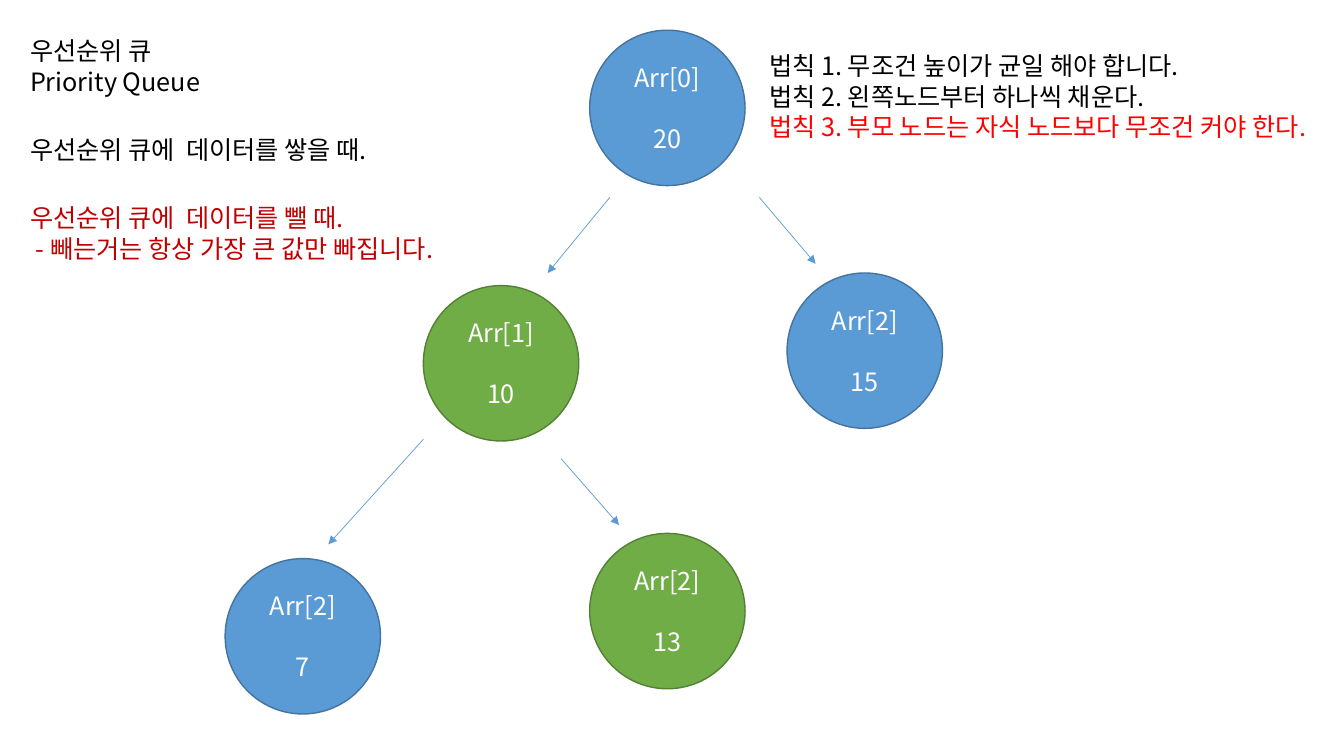
import pptx
import pptx.dml.color
import pptx.enum.shapes
import pptx.enum.text
import pptx.oxml
import pptx.oxml.ns
import pptx.util

COLUMNS, ROWS = 160, 90
NODE_SIZE = 18.5
BLACK, WHITE, RED, DARK_RED = "000000", "FFFFFF", "FF0000", "C00000"
BLUE, BLUE_EDGE = "5B9BD5", "43739E"
GREEN, GREEN_EDGE = "70AD47", "538035"


def colour(hex_code):
    return pptx.dml.color.RGBColor.from_string(hex_code)


def write(paragraph, text, *, color=BLACK, size=18, font="Noto Sans CJK KR",
          align=pptx.enum.text.PP_ALIGN.LEFT, leading=21.8, before=0):
    paragraph.alignment = align
    paragraph.line_spacing = pptx.util.Pt(leading)
    paragraph.space_before = pptx.util.Pt(before)
    run = paragraph.add_run()
    run.text = text
    run.font.size = pptx.util.Pt(size)
    run.font.name = font
    run.font.color.rgb = colour(color)
    east_asian = pptx.oxml.parse_xml(
        f'<a:ea {pptx.oxml.ns.nsdecls("a")} typeface="{font}"/>')
    run.font._element.append(east_asian)


class TreeSlide:
    def __init__(self, deck):
        self.width, self.height = deck.slide_width, deck.slide_height
        self.slide = deck.slides.add_slide(deck.slide_layouts[6])

    def x(self, columns):
        return round(self.width * columns / COLUMNS)

    def y(self, rows):
        return round(self.height * rows / ROWS)

    def box(self, left, top, width, height):
        return self.x(left), self.y(top), self.x(width), self.y(height)

    def note(self, left, top, width, height, lines):
        note = self.slide.shapes.add_textbox(*self.box(left, top, width, height))
        frame = note.text_frame
        frame.word_wrap = False
        frame.auto_size = pptx.enum.text.MSO_AUTO_SIZE.SHAPE_TO_FIT_TEXT
        for index, (text, color) in enumerate(lines):
            paragraph = frame.add_paragraph() if index else frame.paragraphs[0]
            write(paragraph, text, color=color)

    def node(self, left, top, label, value, fill, edge):
        circle = self.slide.shapes.add_shape(
            pptx.enum.shapes.MSO_SHAPE.OVAL,
            *self.box(left, top, NODE_SIZE, NODE_SIZE))
        circle.shadow.inherit = False
        circle.fill.solid()
        circle.fill.fore_color.rgb = colour(fill)
        circle.line.color.rgb = colour(edge)
        circle.line.width = pptx.util.Pt(1)
        frame = circle.text_frame
        frame.word_wrap = True
        frame.vertical_anchor = pptx.enum.text.MSO_ANCHOR.MIDDLE
        center = pptx.enum.text.PP_ALIGN.CENTER
        write(frame.paragraphs[0], label, color=WHITE, align=center)
        write(frame.add_paragraph(), value, color=WHITE, align=center, before=21.8)

    def arrow(self, x1, y1, x2, y2):
        branch = self.slide.shapes.add_connector(
            pptx.enum.shapes.MSO_CONNECTOR.STRAIGHT,
            self.x(x1), self.y(y1), self.x(x2), self.y(y2))
        branch.line.color.rgb = colour(BLUE)
        branch.line.width = pptx.util.Pt(0.5)
        namespace = pptx.oxml.ns.nsdecls("a")
        branch.line._get_or_add_ln().append(
            pptx.oxml.parse_xml(f'<a:tailEnd {namespace} type="triangle"/>'))
        branch._element.spPr.append(
            pptx.oxml.parse_xml(f"<a:effectLst {namespace}/>"))


def main():
    deck = pptx.Presentation()
    deck.slide_width = pptx.util.Inches(13.333)
    deck.slide_height = pptx.util.Inches(7.5)
    tree = TreeSlide(deck)

    # Title and notes on the queue
    tree.note(2.4, 3.6, 23, 8.5,
              [("우선순위 큐", BLACK), ("Priority Queue", BLACK)])
    tree.note(2.4, 15.4, 45.5, 4.8,
              [("우선순위 큐에  데이터를 쌓을 때.", BLACK)])
    tree.note(2.4, 23.5, 54.5, 8.5,
              [("우선순위 큐에  데이터를 뺄 때.", DARK_RED),
               (" - 빼는거는 항상 가장 큰 값만 빠집니다.", DARK_RED)])

    # Rules of the heap
    tree.note(90.4, 5.4, 71.3, 12.1,
              [("법칙 1. 무조건 높이가 균일 해야 합니다.", BLACK),
               ("법칙 2. 왼쪽노드부터 하나씩 채운다.", BLACK),
               ("법칙 3. 부모 노드는 자식 노드보다 무조건 커야 한다.", RED)])

    # Tree nodes
    plain, moved = (BLUE, BLUE_EDGE), (GREEN, GREEN_EDGE)
    for left, top, label, value, style in [
        (70.2, 3.6, "Arr[0]", "20", plain),
        (50.4, 34, "Arr[1]", "10", moved),
        (93.7, 32.5, "Arr[2]", "15", plain),
        (70.2, 63.5, "Arr[2]", "13", moved),
        (26.8, 66.5, "Arr[2]", "7", plain),
    ]:
        tree.node(left, top, label, value, *style)

    # Branches from parent to child
    for ends in [
        (72.6, 23.5, 65.2, 32.5),
        (90.4, 23.5, 97.1, 31.4),
        (66.8, 54.6, 73.7, 62.5),
        (50.4, 52.3, 39.1, 64.8),
    ]:
        tree.arrow(*ends)

    deck.save("out.pptx")


if __name__ == "__main__":
    main()
